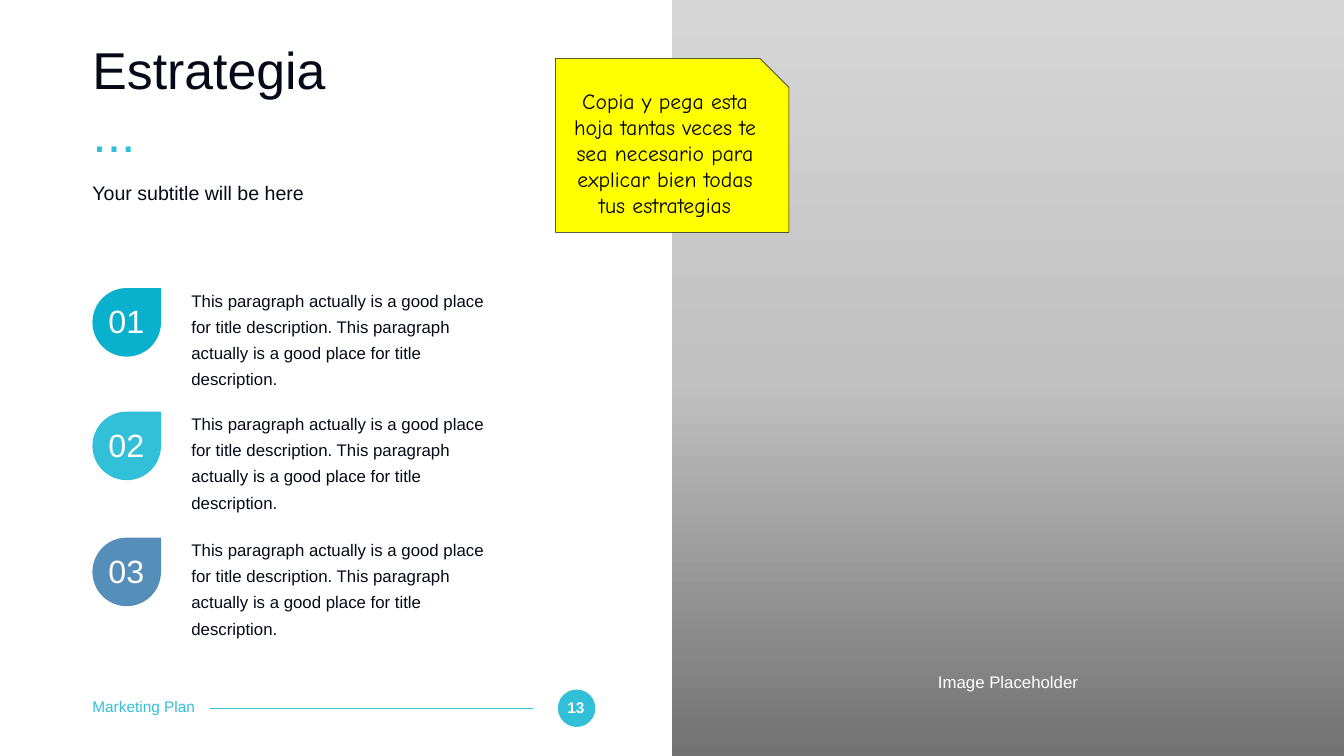
from dataclasses import dataclass

from lxml import etree
from pptx import Presentation
from pptx.dml.color import RGBColor
from pptx.enum.shapes import MSO_CONNECTOR, MSO_SHAPE
from pptx.enum.text import MSO_ANCHOR, MSO_AUTO_SIZE, PP_ALIGN
from pptx.oxml.ns import qn
from pptx.util import Pt

LEFT, CENTER = PP_ALIGN.LEFT, PP_ALIGN.CENTER
TOP, MIDDLE = MSO_ANCHOR.TOP, MSO_ANCHOR.MIDDLE
NO_AUTOFIT = MSO_AUTO_SIZE.NONE
RECTANGLE, ELLIPSE = MSO_SHAPE.RECTANGLE, MSO_SHAPE.OVAL
TEARDROP, SNIPPED = MSO_SHAPE.TEAR, MSO_SHAPE.SNIP_1_RECTANGLE
STRAIGHT = MSO_CONNECTOR.STRAIGHT


@dataclass(frozen=True)
class Theme:
    font: str = "Arial"
    note_font: str = "Comic Neue"
    ink: str = "050A19"
    white: str = "FFFFFF"
    black: str = "000000"
    accent: str = "32C0D8"
    note_fill: str = "FFFF00"
    gradient: tuple = ((0, "727272"), (50, "C1C1C1"), (100, "D6D6D6"))
    title_size: int = 74
    number_size: int = 46
    note_size: int = 31
    subtitle_size: int = 28
    body_size: int = 24
    footer_size: int = 22


THEME = Theme()

# Content
TITLE = ["Estrategia", "..."]
SUBTITLE = "Your subtitle will be here"
DESCRIPTION = "This paragraph actually is a good place for title description. " * 2
STRATEGIES = [  # number, drop colour, top of the row
    ("01", "09B1CC", 406),
    ("02", THEME.accent, 582.5),
    ("03", "558EB9", 762.5),
]
NOTE = ("Copia y pega esta hoja tantas veces te sea necesario "
        "para explicar bien todas tus estrategias")
IMAGE_LABEL = "Image Placeholder"
FOOTER, PAGE_NUMBER = "Marketing Plan", "13"

# Layout, in points
WIDTH, HEIGHT = 1920, 1080
MARGIN = 132
HEADING_WIDTH = 713


def points(*values):
    return [Pt(value) for value in values]


def write(shape, lines, size, color, align=LEFT, anchor=TOP, font=THEME.font,
          inset=0, spacing=1.0, bold=False):
    frame = shape.text_frame
    frame.text = "\n".join(lines)
    frame.word_wrap = True
    frame.auto_size = NO_AUTOFIT
    frame.vertical_anchor = anchor
    frame.margin_left = frame.margin_right = Pt(inset)
    frame.margin_top = frame.margin_bottom = Pt(inset)
    for paragraph in frame.paragraphs:
        paragraph.alignment = align
        paragraph.line_spacing = spacing
        paragraph.space_before = Pt(0)
        for run in paragraph.runs:
            run.font.name = font
            run.font.size = Pt(size)
            run.font.bold = bold
            run.font.color.rgb = RGBColor.from_string(color)


def add_text(slide, box, text, size, color, **options):
    write(slide.shapes.add_textbox(*points(*box)), [text], size, color, **options)


def add_shape(slide, kind, box, fill=None):
    shape = slide.shapes.add_shape(kind, *points(*box))
    shape.shadow.inherit = False
    shape.line.fill.background()
    if fill:
        shape.fill.solid()
        shape.fill.fore_color.rgb = RGBColor.from_string(fill)
    return shape


def fill_gradient(shape, stops, angle):
    shape.fill.gradient()
    shape.fill.gradient_angle = angle
    stop_list = next(shape._element.spPr.iter(qn("a:gsLst")))
    for old_stop in list(stop_list):
        stop_list.remove(old_stop)
    for position, color in stops:
        stop = etree.SubElement(stop_list, qn("a:gs"), pos=str(position * 1000))
        etree.SubElement(stop, qn("a:srgbClr"), val=color)


def add_footer(slide):
    add_shape(slide, ELLIPSE, (797, 985, 53.5, 53.5), THEME.accent)
    add_text(slide, (801.5, 997, 42.5, 27), PAGE_NUMBER, THEME.footer_size,
             THEME.white, align=CENTER, bold=True)
    rule = slide.shapes.add_connector(STRAIGHT, *points(761, 1011.5, 299.5, 1011.5))
    rule.line.color.rgb = RGBColor.from_string(THEME.accent)
    rule.line.width = Pt(1.5)
    etree.SubElement(rule._element.spPr, qn("a:effectLst"))
    add_text(slide, (MARGIN, 996.5, 186.5, 27), FOOTER, THEME.footer_size, THEME.accent)


def add_heading(slide):
    title = slide.shapes.title
    title.left, title.top, title.width, title.height = points(
        MARGIN, 52.5, HEADING_WIDTH, 181.5)
    write(title, TITLE, THEME.title_size, THEME.ink, anchor=MIDDLE)
    dots = title.text_frame.paragraphs[1].runs[0]
    dots.font.color.rgb = RGBColor.from_string(THEME.accent)
    add_text(slide, (MARGIN, 258.5, HEADING_WIDTH, 35), SUBTITLE,
             THEME.subtitle_size, THEME.ink)


def add_strategies(slide):
    for number, color, top in STRATEGIES:
        add_text(slide, (273.5, top, 452, 110), DESCRIPTION.strip(),
                 THEME.body_size, THEME.ink, spacing=1.3)
        add_shape(slide, TEARDROP, (MARGIN, top + 5.5, 98, 98), color)
        add_text(slide, (141, top + 25, 79, 55.5), number,
                 THEME.number_size, THEME.white, align=CENTER)


def add_image_panel(slide):
    panel = add_shape(slide, RECTANGLE, (WIDTH / 2, 0, WIDTH / 2, HEIGHT))
    fill_gradient(panel, THEME.gradient, 90)
    add_text(slide, (1186.5, 959, 507, 29), IMAGE_LABEL,
             THEME.body_size, THEME.white, align=CENTER)


def add_note(slide):
    note = add_shape(slide, SNIPPED, (793.5, 83.5, 333.5, 248.5), THEME.note_fill)
    note.line.color.rgb = RGBColor.from_string(THEME.ink)
    note.line.width = Pt(0.75)
    write(note, [NOTE], THEME.note_size, THEME.black, align=CENTER,
          anchor=MIDDLE, font=THEME.note_font, inset=12)


def main():
    presentation = Presentation()
    presentation.slide_width, presentation.slide_height = points(WIDTH, HEIGHT)
    slide = presentation.slides.add_slide(presentation.slide_layouts[5])
    add_footer(slide)
    add_heading(slide)
    add_strategies(slide)
    add_image_panel(slide)
    add_note(slide)
    presentation.save("out.pptx")


if __name__ == "__main__":
    main()
